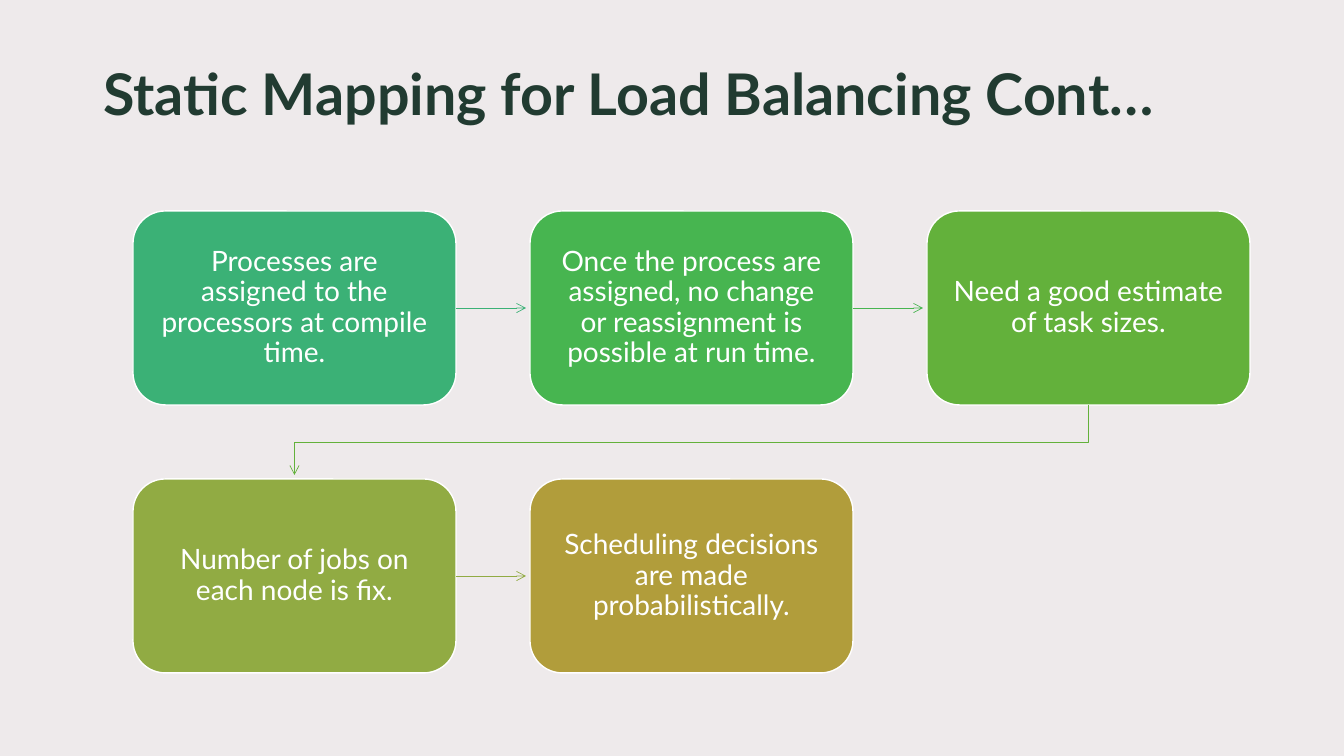
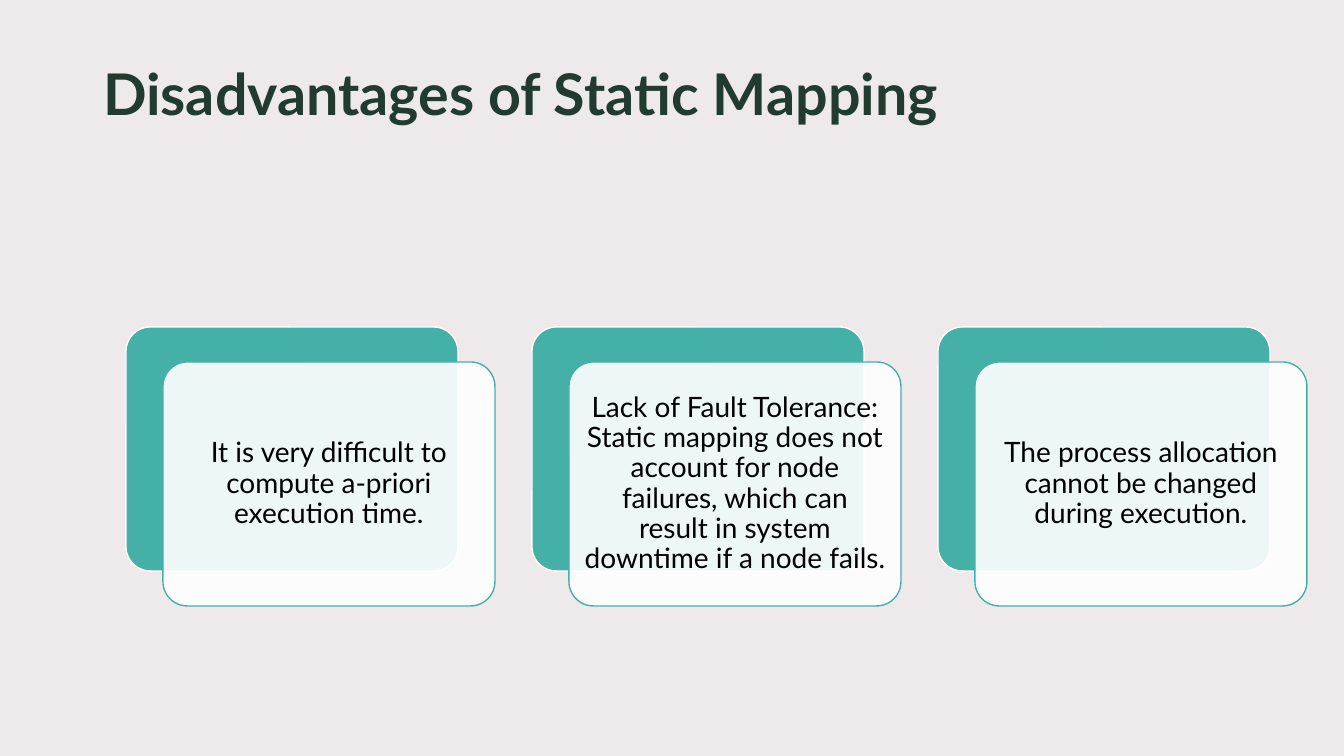
import pptx
import pptx.util
import pptx.dml.color
import pptx.enum.shapes
import pptx.enum.text
import pptx.oxml
import pptx.oxml.ns

RGBColor = pptx.dml.color.RGBColor
MSO_SHAPE = pptx.enum.shapes.MSO_SHAPE
PP_ALIGN = pptx.enum.text.PP_ALIGN
MSO_ANCHOR = pptx.enum.text.MSO_ANCHOR
Pt = pptx.util.Pt
qn = pptx.oxml.ns.qn

BACKGROUND = RGBColor(0xEE, 0xEA, 0xEB)
TITLE_GREEN = RGBColor(0x21, 0x3B, 0x31)
WHITE = RGBColor(0xFF, 0xFF, 0xFF)
BLACK = RGBColor(0, 0, 0)
CARD_TEAL = RGBColor(0x45, 0xB0, 0xA7)
FONT = "Lato"

SLIDE_W, SLIDE_H = 1344, 756
TITLE_BOX = (93, 61, 1141, 141)

STEPS_TITLE = "Static Mapping for Load Balancing Cont…"
STEPS = [
    ("Processes are assigned to the processors at compile time.",
     RGBColor(0x3B, 0xB1, 0x76)),
    ("Once the process are assigned, no change or reassignment is possible at run time.",
     RGBColor(0x47, 0xB5, 0x50)),
    ("Need a good estimate of task sizes.", RGBColor(0x63, 0xB1, 0x3B)),
    ("Number of jobs on each node is fix.", RGBColor(0x91, 0xAB, 0x43)),
    ("Scheduling decisions are made probabilistically.",
     RGBColor(0xB1, 0x9D, 0x3B)),
]
STEP_COLUMNS = 3
STEP_X, STEP_Y, STEP_W, STEP_H = 133, 211, 323, 194
STEP_GAP = 74
ARROW_CLEARANCE = 4

CARDS_TITLE = "Disadvantages of Static Mapping"
CARDS = [
    "It is very difficult to compute a-priori execution time.",
    "Lack of Fault Tolerance: Static mapping does not account for node failures, "
    "which can result in system downtime if a node fails.",
    "The process allocation cannot be changed during execution.",
]
CARD_X, CARD_Y, CARD_W, CARD_H = 126, 327, 332, 244
CARD_PITCH = 406
CARD_OFFSET_X, CARD_OFFSET_Y = 37, 35
CARD_OPACITY = 90


def px(n):
    return round(n * 914400 / 100.8)


def write(tf, text, size, color, align, bold=False):
    p = tf.paragraphs[0]
    p.alignment = align
    p.line_spacing = 0.9
    r = p.add_run()
    r.text = text
    r.font.name = FONT
    r.font.size = Pt(size)
    r.font.bold = bold
    r.font.color.rgb = color


def add_titled_slide(prs, title):
    slide = prs.slides.add_slide(prs.slide_layouts[5])
    sp = slide.shapes.title
    sp.left, sp.top, sp.width, sp.height = map(px, TITLE_BOX)
    tf = sp.text_frame
    tf.word_wrap = True
    tf.auto_size = pptx.enum.text.MSO_AUTO_SIZE.NONE
    tf.vertical_anchor = MSO_ANCHOR.TOP
    write(tf, title, 41, TITLE_GREEN, PP_ALIGN.LEFT, bold=True)
    return slide


def add_box(slide, kind, box, fill, line):
    sp = slide.shapes.add_shape(kind, *map(px, box))
    sp.shadow.inherit = False
    sp.fill.solid()
    sp.fill.fore_color.rgb = fill
    sp.line.color.rgb = line
    sp.line.width = Pt(1)
    return sp


def label(sp, text, color, inset):
    tf = sp.text_frame
    tf.word_wrap = True
    tf.vertical_anchor = MSO_ANCHOR.MIDDLE
    tf.margin_left = tf.margin_right = tf.margin_top = tf.margin_bottom = px(inset)
    write(tf, text, 20, color, PP_ALIGN.CENTER)


def style_arrow(sp, color):
    sp.line.color.rgb = color
    sp.line.width = Pt(0.5)
    ln = sp._element.spPr.find(qn("a:ln"))
    pptx.oxml.ns  # namespace helpers
    ln.append(pptx.oxml.parse_xml(
        f'<a:tailEnd {pptx.oxml.ns.nsdecls("a")} type="arrow"/>'))


def add_straight_arrow(slide, start, end, color):
    cxn = slide.shapes.add_connector(
        pptx.enum.shapes.MSO_CONNECTOR.STRAIGHT, *map(px, start + end))
    style_arrow(cxn, color)
    cxn._element.spPr.append(pptx.oxml.parse_xml(
        f'<a:effectLst {pptx.oxml.ns.nsdecls("a")}/>'))


def add_bent_arrow(slide, points, color):
    start, *rest = [(px(x), px(y)) for x, y in points]
    builder = slide.shapes.build_freeform(*start)
    builder.add_line_segments(rest, close=False)
    sp = builder.convert_to_shape()
    sp.shadow.inherit = False
    sp.fill.background()
    style_arrow(sp, color)


def set_opacity(sp, percent):
    clr = sp._element.spPr.find(qn("a:solidFill")).find(qn("a:srgbClr"))
    clr.append(pptx.oxml.parse_xml(
        f'<a:alpha {pptx.oxml.ns.nsdecls("a")} val="{percent * 1000}"/>'))


def step_position(i):
    row, col = divmod(i, STEP_COLUMNS)
    return STEP_X + col * (STEP_W + STEP_GAP), STEP_Y + row * (STEP_H + STEP_GAP)


def build_steps(prs):
    slide = add_titled_slide(prs, STEPS_TITLE)
    for i, (text, color) in enumerate(STEPS):
        x, y = step_position(i)
        sp = add_box(slide, MSO_SHAPE.FLOWCHART_ALTERNATE_PROCESS,
                     (x, y, STEP_W, STEP_H), color, WHITE)
        label(sp, text, WHITE, 16)
        if i + 1 == len(STEPS):
            continue
        next_x, next_y = step_position(i + 1)
        if next_y == y:
            mid_y = y + STEP_H / 2
            add_straight_arrow(slide, (x + STEP_W, mid_y),
                               (next_x - ARROW_CLEARANCE, mid_y), color)
        else:
            from_x, to_x = x + STEP_W / 2, next_x + STEP_W / 2
            bottom = y + STEP_H
            turn_y = bottom + STEP_GAP / 2
            add_bent_arrow(slide, [(from_x, bottom), (from_x, turn_y), (to_x, turn_y),
                                   (to_x, next_y - ARROW_CLEARANCE)], color)


def build_cards(prs):
    slide = add_titled_slide(prs, CARDS_TITLE)
    for i, text in enumerate(CARDS):
        x = CARD_X + i * CARD_PITCH
        back = add_box(slide, MSO_SHAPE.ROUNDED_RECTANGLE,
                       (x, CARD_Y, CARD_W, CARD_H), CARD_TEAL, WHITE)
        front = add_box(slide, MSO_SHAPE.ROUNDED_RECTANGLE,
                        (x + CARD_OFFSET_X, CARD_Y + CARD_OFFSET_Y, CARD_W, CARD_H),
                        WHITE, CARD_TEAL)
        for sp in (back, front):
            sp.adjustments[0] = 0.1
        set_opacity(front, CARD_OPACITY)
        label(front, text, BLACK, 8)


def main():
    prs = pptx.Presentation()
    prs.slide_width, prs.slide_height = px(SLIDE_W), px(SLIDE_H)
    fill = prs.slide_master.background.fill
    fill.solid()
    fill.fore_color.rgb = BACKGROUND
    build_steps(prs)
    build_cards(prs)
    prs.save("out.pptx")


if __name__ == "__main__":
    main()
